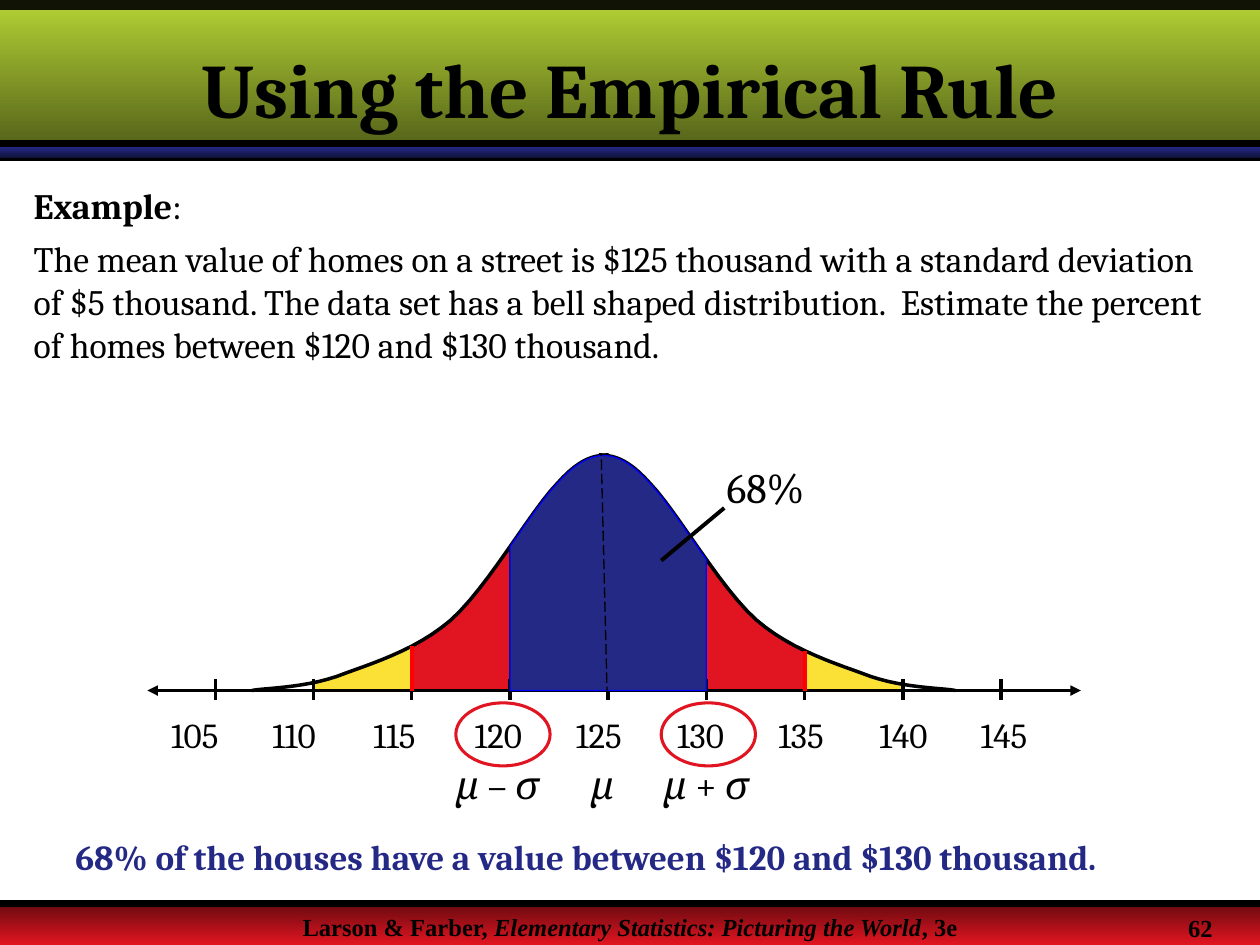
from itertools import pairwise
from lxml.etree import SubElement as Sub
from pptx import Presentation
from pptx.dml.color import RGBColor as Rgb
from pptx.enum.dml import MSO_LINE as Dash
from pptx.enum.shapes import MSO_CONNECTOR as Link, MSO_SHAPE as Kind
from pptx.enum.text import MSO_ANCHOR as Anchor, PP_ALIGN as Align
from pptx.oxml.ns import qn
from pptx.util import Cm, Pt

THEME = {
    "ink": "000000", "navy": "242985", "red": "E11521", "gold": "FBE136",
    "edge": "0000FF", "cut": "FF0000",
    "dusk": "11133E", "wine": "680A0F", "lime": "B5D335", "moss": "546219",
    "serif": "Cambria", "times": "Times New Roman",
    "title": 44, "body": 20.4, "label": 20, "share": 24, "greek": 22, "foot": 14,
}

TITLE = [[("Using the Empirical Rule", "b")]]
BODY = [
    [("Example", "b"), (":", "")],
    [("The mean value of homes on a street is $125 thousand with a standard "
      "deviation of $5 thousand. The data set has a bell shaped distribution.  "
      "Estimate the percent of homes between $120 and $130 thousand.", "")],
]
ANSWER = [[("68% of the houses have a value between $120 and $130 thousand.", "b")]]
FOOT = [[("Larson & Farber, ", "b"),
         ("Elementary Statistics: Picturing the World", "bi"), (", 3e", "b")]]
PAGE = [[("62", "b")]]
SHARE = [[("68%", "")]]
VALUES = range(105, 150, 5)
GREEK = [
    (8.94, 2.97, Align.LEFT, [("μ", "i"), (" – ", ""), ("σ", "i")]),
    (13.13, 2.97, Align.LEFT, [("μ", "i"), (" + ", ""), ("σ", "i")]),
    (11.66, 0.97, Align.CENTER, [("μ", "i")]),
]
BANDS = [
    (18.21, 0.84, "wine", "red"),
    (2.97, 0.2, "navy", "dusk"),
    (0, 2.97, "lime", "moss"),
]
RINGS = [9.19, 13.33]

WIDE, HIGH = 25.4, 19.05
BASE, MID = 13.92, 12.17
BELL = [
    (12.27, 9.17), (12.01, 9.19), (11.73, 9.19), (11.23, 9.75),
    (10.69, 10.31), (9.83, 11.84), (9.09, 12.5),
    (8.36, 13.13), (7.44, 13.39), (6.78, 13.64),
    (6.1, 13.87), (5.36, 13.87), (5.08, 13.92),
]

deck = Presentation()
deck.slide_width, deck.slide_height = Cm(WIDE), Cm(HIGH)
slide = deck.slides.add_slide(deck.slide_layouts[6])
shapes = slide.shapes


def tint(name):
    return Rgb.from_string(THEME[name])


def style(shape, fill=None, line=None, width=1):
    shape.shadow.inherit = False
    if fill:
        shape.fill.solid()
        shape.fill.fore_color.rgb = tint(fill)
    else:
        shape.fill.background()
    if line:
        shape.line.color.rgb = tint(line)
        shape.line.width = Pt(width)
    else:
        shape.line.fill.background()


def write(x, y, w, h, paras, size, color="ink", face="serif", align=Align.LEFT):
    frame = shapes.add_textbox(Cm(x), Cm(y), Cm(w), Cm(h)).text_frame
    frame.word_wrap = True
    for n, parts in enumerate(paras):
        para = frame.add_paragraph() if n else frame.paragraphs[0]
        para.alignment = align
        if n:
            para.space_before = Pt(6)
        for text, look in parts:
            run = para.add_run()
            run.text = text
            font = run.font
            font.name, font.size = THEME[face], Pt(THEME[size])
            font.bold, font.italic = "b" in look, "i" in look
            font.color.rgb = tint(color)
    return frame


def stroke(x1, y1, x2, y2, width, color="ink"):
    link = shapes.add_connector(Link.STRAIGHT, Cm(x1), Cm(y1), Cm(x2), Cm(y2))
    link.line.color.rgb = tint(color)
    link.line.width = Pt(width)
    Sub(link._element.spPr, qn("a:effectLst"))
    return link


def trace(points, close):
    spots = [(Cm(x), Cm(y)) for x, y in points]
    pen = shapes.build_freeform(*spots[0])
    pen.add_line_segments(spots[1:], close=close)
    return pen.convert_to_shape()


def bezier(a, b, c, d, t):
    s = 1 - t
    return tuple(s**3 * p + 3 * s * s * t * q + 3 * s * t * t * u + t**3 * v
                 for p, q, u, v in zip(a, b, c, d))


def flip(points):
    return [(2 * MID - x, y) for x, y in points]


def level(x):
    for (x1, y1), (x2, y2) in pairwise(crest):
        if x1 <= x <= x2:
            return y1 + (y2 - y1) * (x - x1) / (x2 - x1)


def region(left, right):
    inner = [p for p in crest if left < p[0] < right]
    return [(left, BASE), (left, level(left)), *inner,
            (right, level(right)), (right, BASE)]


def tick(n):
    return 4.34 + 1.98 * n


def rule(y):
    stroke(0, y, WIDE, y, 4)


rule(3.18)
for y, h, top, low in BANDS:
    band = shapes.add_shape(Kind.RECTANGLE, 0, Cm(y), Cm(WIDE), Cm(h))
    style(band)
    band.fill.gradient()
    band.fill.gradient_angle = 270
    for stop, name, place in zip(band.fill.gradient_stops, (top, low), (0, 1)):
        stop.color.rgb = tint(name)
        stop.position = place
strip = shapes.add_shape(Kind.RECTANGLE, 0, 0, Cm(WIDE), Cm(0.2))
style(strip, "ink")
shade = strip._element.spPr.find(qn("a:solidFill"))[0]
Sub(shade, qn("a:alpha"), val="90000")
rule(18.21)
rule(2.9)

half = BELL[:1] + [bezier(*BELL[k:k + 4], n / 12)
                   for k in range(0, len(BELL) - 1, 3) for n in range(1, 13)]
rise = [p for p in reversed(half) if p[0] < MID]
crest = rise + flip(reversed(rise))

for n, name in ((1, "gold"), (2, "red")):
    style(trace(region(tick(n), tick(8 - n)), True), name)

axis = stroke(2.97, BASE, 21.79, BASE, 2)
pen = axis.line._get_or_add_ln()
for end in ("a:headEnd", "a:tailEnd"):
    Sub(pen, qn(end), type="triangle")
for n, value in enumerate(VALUES):
    stroke(tick(n), 13.69, tick(n), 14.12, 2)
    write(3.2 + 2.04 * n, 14.25, 1.68, 1.12, [[(str(value), "")]], "label")

for side in (half, flip(half)):
    style(trace(side, False), None, "ink", 2)
for n in (3, 5):
    stroke(tick(n), BASE, tick(n), level(tick(n)), 0.75)
style(trace(region(tick(3), tick(5)), True), "navy", "edge", 0.75)
for n in (2, 6):
    stroke(tick(n), BASE, tick(n), level(tick(n)), 2.25, "cut")
stroke(12.24, 14.05, 12.12, 9.17, 0.75).line.dash_style = Dash.LONG_DASH

write(0.43, 3.58, 24.56, 3.99, BODY, "body")
head = write(0, 0, WIDE, 2.59, TITLE, "title", align=Align.CENTER)
head.vertical_anchor = Anchor.MIDDLE
head.paragraphs[0].line_spacing = 1.5
write(1.27, 16.71, 23.32, 1.96, ANSWER, "label", "navy")
for x in RINGS:
    style(shapes.add_shape(Kind.OVAL, Cm(x), Cm(14.17), Cm(1.9), Cm(1.27)),
          None, "red", 1.75)
write(14.4, 9.17, 2.16, 1.27, SHARE, "share")
stroke(14.6, 10.24, 13.33, 11.3, 2.25)
for x, w, align, parts in GREEK:
    write(x, 15.21, w, 1.19, [parts], "greek", align=align)
write(0, 18.26, WIDE, 0.51, FOOT, "foot", face="times", align=Align.CENTER)
write(23.7, 18.29, 1.7, 0.76, PAGE, "foot", face="times")

deck.save("out.pptx")
